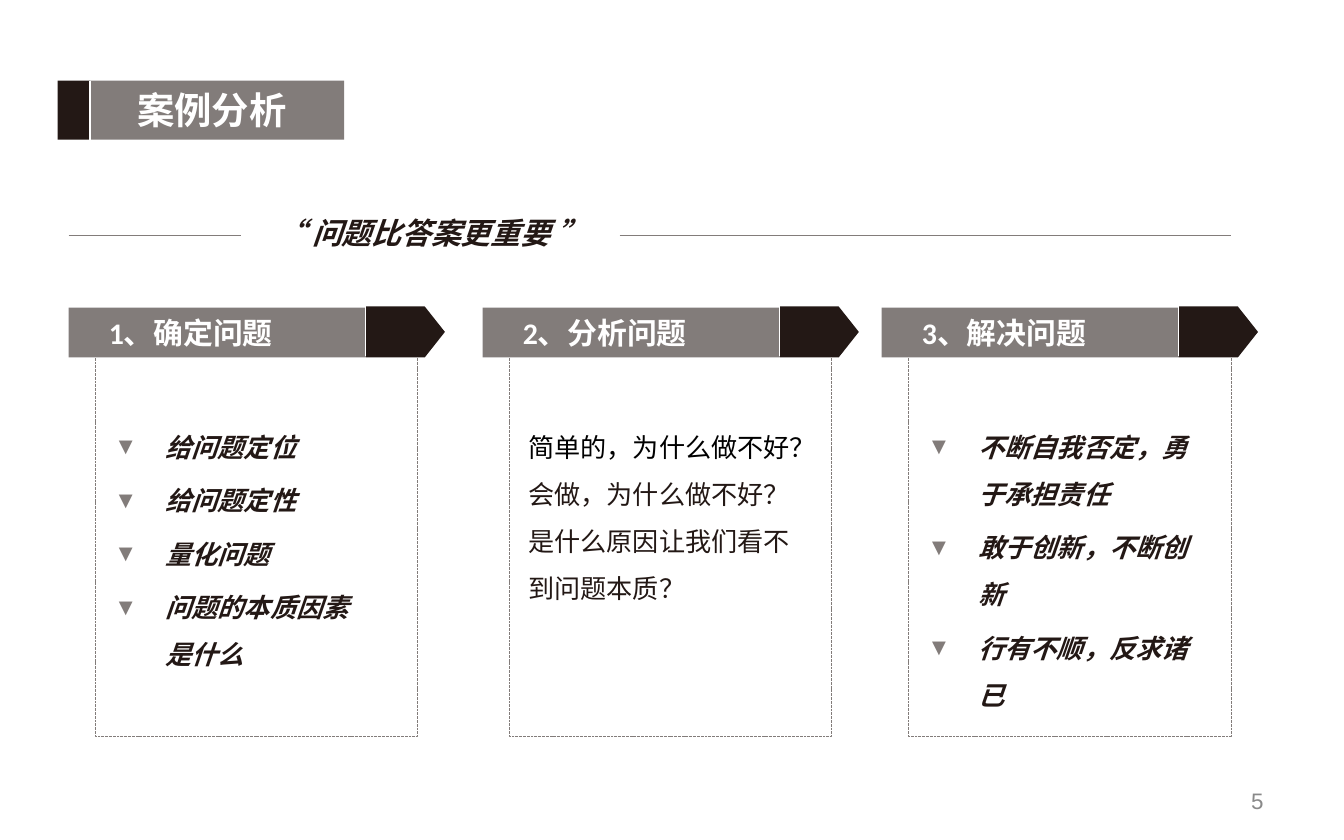
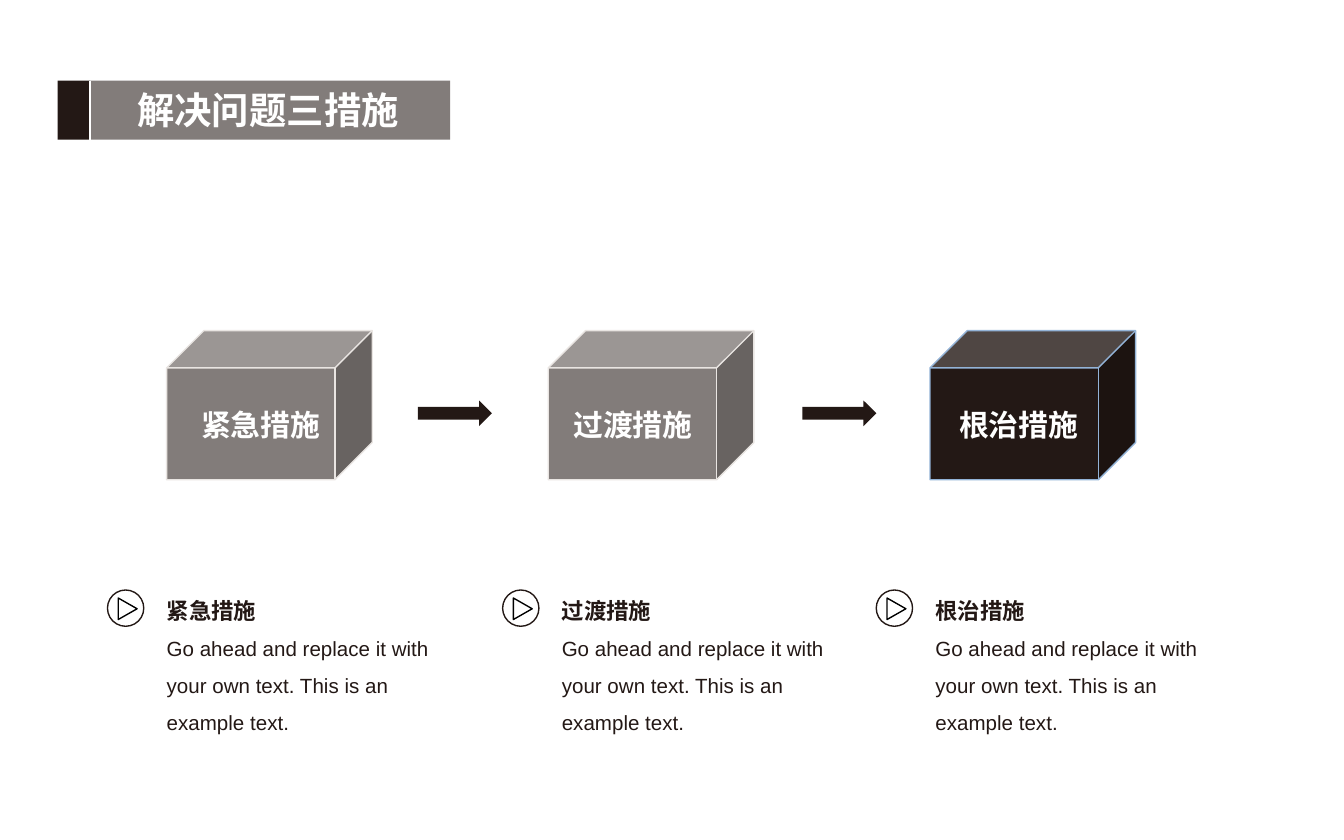
from pptx import Presentation
from pptx.dml.color import RGBColor
from pptx.enum.dml import MSO_LINE
from pptx.enum.shapes import MSO_CONNECTOR, MSO_SHAPE
from pptx.enum.text import MSO_ANCHOR, MSO_AUTO_SIZE, PP_ALIGN
from pptx.oxml.ns import qn
from pptx.util import Pt
from lxml.etree import SubElement

PX = 9144  # 100 px to the inch
GRAY, DARK, WHITE, BLACK = "827C7A", "231815", "FFFFFF", "000000"
PALE, BLUE, MUTED = "E9E5E2", "93B3D7", "898989"
HAN = "Noto Sans CJK SC"
LATIN = "Calibri"

COLUMNS = [
    (51, 213, "1、确定问题", True,
     ["给问题定位", "给问题定性", "量化问题", "问题的本质因素是什么"]),
    (359, 226, "2、分析问题", False,
     ["简单的，为什么做不好？", "会做，为什么做不好？", "是什么原因让我们看不到问题本质？"]),
    (656, 214, "3、解决问题", True,
     ["不断自我否定，勇于承担责任", "敢于创新，不断创新", "行有不顺，反求诸已"]),
]
# name, label left, note left, cube fill, cube edge
STEPS = [
    ("紧急措施", 114, 114, GRAY, PALE),
    ("过渡措施", 391, 408, GRAY, PALE),
    ("根治措施", 678, 686, DARK, BLUE),
]
NOTE = "Go ahead and replace it with your own text. This is an example text."


def emu(*sizes):
    return [size * PX for size in sizes]


def rgb(color):
    return RGBColor.from_string(color)


def move(shape, *box):
    shape.left, shape.top, shape.width, shape.height = emu(*box)


def paint(shape, fill=None, edge=None, weight=0.75):
    shape.shadow.inherit = False
    if fill:
        shape.fill.solid()
        shape.fill.fore_color.rgb = rgb(fill)
    else:
        shape.fill.background()
    if edge:
        shape.line.color.rgb = rgb(edge)
        shape.line.width = Pt(weight)
    else:
        shape.line.fill.background()


def draw(slide, kind, box, fill=None, edge=None, weight=0.75):
    shape = slide.shapes.add_shape(kind, *emu(*box))
    paint(shape, fill, edge, weight)
    return shape


def rule(slide, start, end, color):
    line = slide.shapes.add_connector(MSO_CONNECTOR.STRAIGHT, *emu(*start, *end))
    line.line.color.rgb = rgb(color)
    line.line.width = Pt(0.75)
    SubElement(line._element.spPr, qn("a:effectLst"))


def style(para, size, color, font=LATIN, bold=False, italic=False):
    for run in para.runs:
        face = run.font
        face.size, face.bold, face.italic = Pt(size), bold, italic
        face.color.rgb = rgb(color)
        face.name = font
        props = run._r.get_or_add_rPr()
        for old in props.findall(qn("a:ea")):
            props.remove(old)
        SubElement(props, qn("a:ea"), typeface=HAN)


def mark(para, bullet):
    """Set the bullet and hanging indent of a paragraph, or clear both."""
    props = para._p.get_or_add_pPr()
    hang = 38 * PX if bullet else 0
    props.set("marL", str(hang))
    props.set("indent", str(-hang))
    if bullet:
        tint = SubElement(props, qn("a:buClr"))
        SubElement(tint, qn("a:srgbClr"), val=GRAY)
        SubElement(props, qn("a:buSzPct"), val="90000")
        SubElement(props, qn("a:buChar"), char="▼")
    else:
        SubElement(props, qn("a:buNone"))


def write(shape, lines, size, color, font=LATIN, bold=False, italic=False,
          align=PP_ALIGN.LEFT, space=1.0, gap=0, bullet=False, left=10,
          anchor=MSO_ANCHOR.TOP):
    frame = shape.text_frame
    frame.text = "\n".join(lines)
    frame.word_wrap = True
    frame.auto_size = MSO_AUTO_SIZE.NONE
    frame.vertical_anchor = anchor
    frame.margin_left, frame.margin_right = emu(left, 10)
    frame.margin_top, frame.margin_bottom = emu(5, 5)
    for rank, para in enumerate(frame.paragraphs):
        para.alignment = align
        para.line_spacing = space
        para.space_before = Pt(gap if rank else 0)
        mark(para, bullet)
        style(para, size, color, font, bold, italic)
    return frame.paragraphs


def label(slide, box, text, size, color, **look):
    write(slide.shapes.add_textbox(*emu(*box)), [text], size, color, **look)


def start(deck, title, width):
    """Add a slide with its title band; return it with three body holders."""
    slide = deck.slides.add_slide(deck.slide_layouts[4])
    head, *bodies, spare = slide.placeholders
    spare._element.getparent().remove(spare._element)
    left, top, high = 67, 60, 44
    move(head, left, top, width, high)
    paint(head, GRAY)
    write(head, [title], 20, WHITE, bold=True, left=35)
    draw(slide, MSO_SHAPE.RECTANGLE, (left - 24, top, 24, high), DARK)
    rule(slide, (left, top), (left, top + high), WHITE)
    return slide, bodies


def column(slide, body, left, top, wide, head, listed, lines):
    frame = draw(slide, MSO_SHAPE.RECTANGLE, (left + 20, top + 19, 240, 301),
                 edge=GRAY, weight=0.5)
    frame.line.dash_style = MSO_LINE.SQUARE_DOT
    move(body, left + 24, top + 76, wide, 244)
    if listed:
        write(body, lines, 14, DARK, HAN, True, True,
              space=1.5, gap=3.5, bullet=True)
    else:
        first = write(body, lines, 14, DARK, HAN, space=1.5)[0]
        style(first, 14, BLACK)
    band = draw(slide, MSO_SHAPE.RECTANGLE, (left, top + 1, 221, 37), GRAY)
    write(band, [head], 16, WHITE, bold=True, left=30)
    edge = left + 221
    pen = slide.shapes.build_freeform(edge, top, scale=PX)
    pen.add_line_segments([(edge + 44, top), (edge + 59, top + 19),
                           (edge + 44, top + 38), (edge, top + 38)])
    paint(pen.convert_to_shape(), DARK)
    rule(slide, (edge, top), (edge, top + 37), WHITE)


def quote(slide, top):
    label(slide, (179, top, 284, 37), "“ 问题比答案更重要 ”", 16, DARK,
          font=HAN, bold=True, italic=True, align=PP_ALIGN.CENTER)
    for left, right in [(51, 179), (461, 916)]:
        rule(slide, (left, top + 20), (right, top + 20), GRAY)


def cube(slide, left, top, fill, edge):
    draw(slide, MSO_SHAPE.CUBE, (left, top, 153, 111), fill, edge)


def note(slide, body, left, top, name):
    move(body, left, top, 242, 150)
    head, text = write(body, [name, NOTE], 11, DARK, "Arial", space=1.5)
    style(head, 12, DARK, "Arial", bold=True)
    draw(slide, MSO_SHAPE.OVAL, (left - 34, top + 10, 27, 27), edge=DARK)
    play = draw(slide, MSO_SHAPE.ISOSCELES_TRIANGLE,
                (left - 27, top + 17, 16, 14), WHITE, BLACK)
    play.rotation = 90


def cases(deck):
    slide, bodies = start(deck, "案例分析", 189)
    for body, (left, wide, *rest) in zip(bodies, COLUMNS):
        column(slide, body, left, 228, wide, *rest)
    quote(slide, 155)
    label(slide, (717, 579, 233, 33), "5", 12, MUTED, font="Arial",
          align=PP_ALIGN.RIGHT, anchor=MSO_ANCHOR.MIDDLE)


def measures(deck):
    slide, bodies = start(deck, "解决问题三措施", 268)
    for rank, (body, step) in enumerate(zip(bodies, STEPS)):
        name, mid, left, fill, edge = step
        cube(slide, 124 + 284 * rank, 246, fill, edge)
        label(slide, (mid, 298, 160, 37), name, 16, WHITE, bold=True,
              align=PP_ALIGN.CENTER)
        note(slide, body, left, 429, name)
    for left in (311, 597):
        draw(slide, MSO_SHAPE.RIGHT_ARROW, (left, 298, 55, 19), DARK)


def main():
    deck = Presentation()
    deck.slide_width, deck.slide_height = emu(1000, 625)
    cases(deck)
    measures(deck)
    deck.save("out.pptx")


if __name__ == "__main__":
    main()
